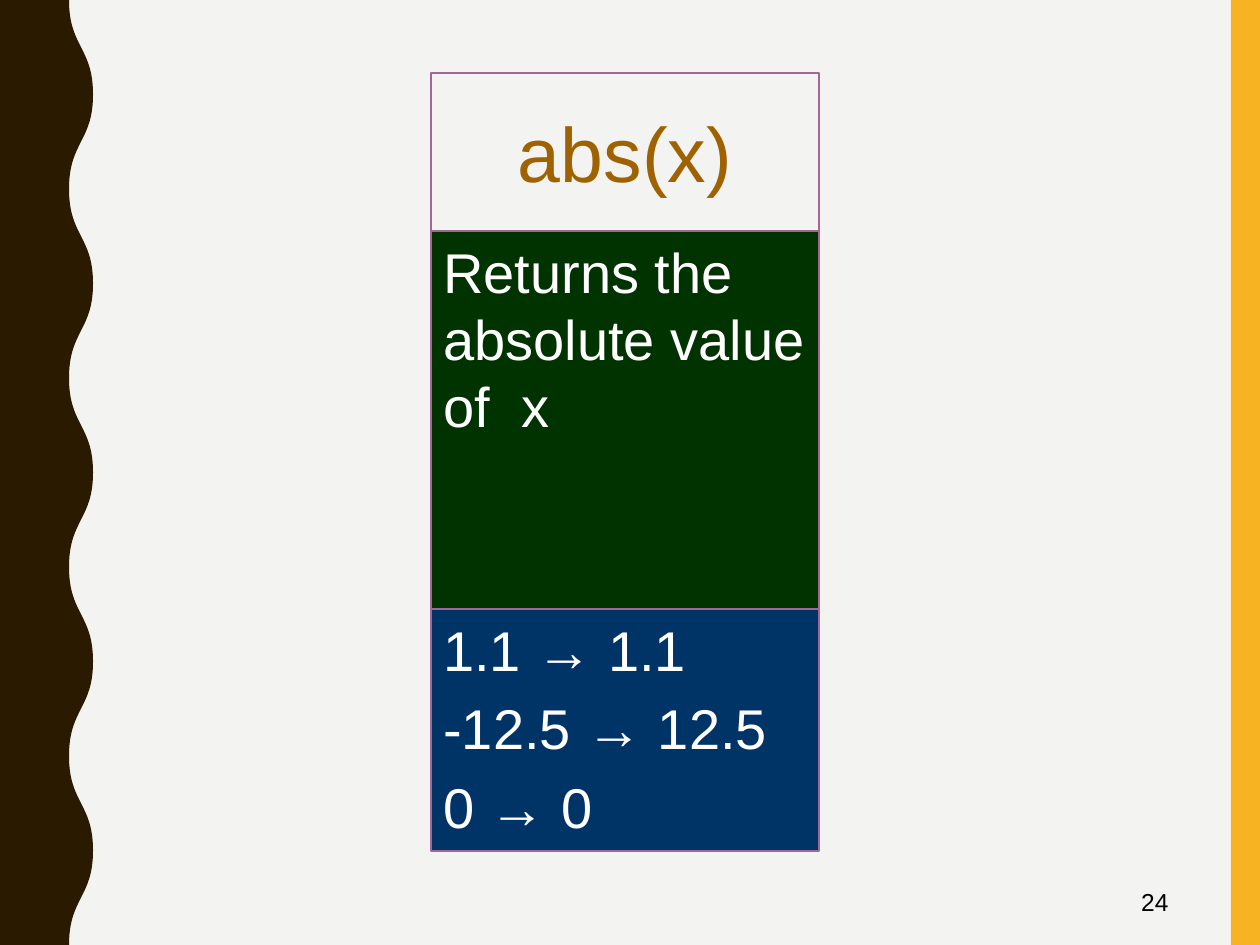
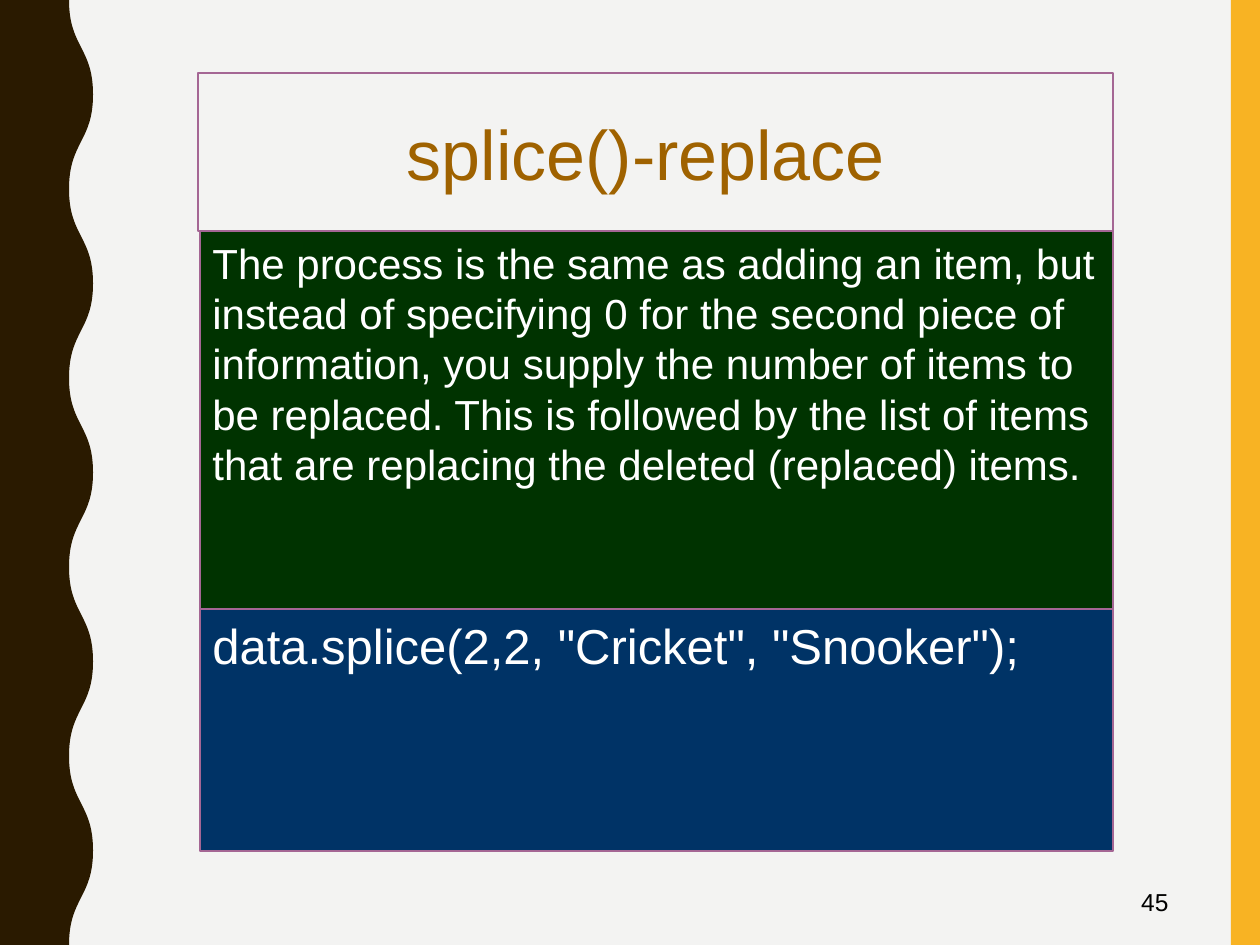
"""Build two slides that each explain one function."""
from lxml import etree
from pptx import Presentation
from pptx.dml.color import RGBColor
from pptx.enum.shapes import MSO_SHAPE
from pptx.enum.text import MSO_ANCHOR, MSO_AUTO_SIZE, PP_ALIGN
from pptx.oxml.ns import qn
from pptx.util import Emu, Pt

RECT = MSO_SHAPE.RECTANGLE
TOP, MIDDLE = MSO_ANCHOR.TOP, MSO_ANCHOR.MIDDLE
LEFT, CENTER, RIGHT = PP_ALIGN.LEFT, PP_ALIGN.CENTER, PP_ALIGN.RIGHT
NO_FIT = MSO_AUTO_SIZE.NONE
TITLE_ONLY = 5
FONT = "Arial"
WIDE, HIGH = 1260, 945
COLORS = {
    "page": "F3F3F2", "stripe": "F8B323", "wave": "2A1A00",
    "edge": "A46694", "title": "9F6200", "text": "FFFFFF",
    "usage": "003300", "sample": "003366", "number": "000000",
}


def px(n):
    """Turn pixels into EMU."""
    return Emu(round(n * 914400 / 126))


def rgb(name):
    """Look up a colour by name."""
    return RGBColor.from_string(COLORS[name])


def paint(shape, fill):
    """Give a shape a flat fill with no line or shadow."""
    shape.shadow.inherit = False
    shape.fill.solid()
    shape.fill.fore_color.rgb = rgb(fill)
    shape.line.fill.background()


def edge(shape, width):
    """Outline a shape in the shared edge colour."""
    shape.line.color.rgb = rgb("edge")
    shape.line.width = Pt(width)


def place(shape, left, top, width, height):
    """Set the position and size of a shape."""
    shape.left, shape.top = px(left), px(top)
    shape.width, shape.height = px(width), px(height)


def write(shape, lines, size, color, align=LEFT, anchor=TOP, gap=0):
    """Write one paragraph per line into a shape."""
    frame = shape.text_frame
    frame.word_wrap = True
    frame.auto_size = NO_FIT
    frame.vertical_anchor = anchor
    for i, line in enumerate(lines):
        para = frame.add_paragraph() if i else frame.paragraphs[0]
        para.alignment = align
        para.space_before = Pt(gap)
        run = para.add_run()
        run.text = line
        run.font.name = FONT
        run.font.size = Pt(size)
        run.font.color.rgb = rgb(color)


def bend(line, start, end):
    """Turn a straight path step into an S curve."""
    mid = (start[1] + end[1]) // 2
    line.tag = qn("a:cubicBezTo")
    for point in list(line):
        line.remove(point)
    for x, y in ((start[0], mid), (end[0], mid), end):
        etree.SubElement(line, qn("a:pt"), x=str(x), y=str(y))


def add_wave(slide):
    """Draw the dark band with a wavy right edge."""
    near, far, waves = 69, 93, 10
    points = [(px(far if i % 2 else near), px(HIGH * i / waves))
              for i in range(waves + 1)]
    path = slide.shapes.build_freeform(*points[0], scale=1.0)
    path.add_line_segments(points[1:] + [(0, px(HIGH)), (0, 0)], close=True)
    wave = path.convert_to_shape()
    lines = list(wave.element.iter(qn("a:lnTo")))
    for line, start, end in zip(lines, points, points[1:]):
        new = etree.Element(qn("a:cubicBezTo"))
        line.getparent().replace(line, new)
        bend(new, start, end)
    paint(wave, "wave")
    return wave


def share_bands(prs, slide):
    """Put the side bands and the page colour on the master."""
    master = prs.slide_master
    back = master.background.fill
    back.solid()
    back.fore_color.rgb = rgb("page")
    stripe = slide.shapes.add_shape(RECT, px(1231), 0, px(29), px(HIGH))
    paint(stripe, "stripe")
    for i, band in enumerate((stripe, add_wave(slide))):
        band.element.nvSpPr.cNvPr.set("id", str(100 + i))
        master.shapes.element.insert(2 + i, band.element)


def add_number(slide, number):
    """Add the slide number."""
    box = slide.shapes.add_textbox(px(890), px(878), px(291), px(48))
    write(box, [number], 14, "number", RIGHT, MIDDLE)


def add_panel(slide, fill, left, top, width, height, lines, size):
    """Add a filled panel of text."""
    panel = slide.shapes.add_shape(
        RECT, px(left), px(top), px(width), px(height))
    paint(panel, fill)
    edge(panel, 1)
    write(panel, lines, size, "text", gap=size * 0.2)


def add_title(slide, text, size, left, width):
    """Place and format the title."""
    title = slide.shapes.title
    place(title, left, 73, width, 158)
    edge(title, 0.75)
    write(title, [text], size, "title", CENTER, MIDDLE)


def add_card(prs, number, title, usage, sample, left, width, inset=0):
    """Add a slide with a title, a usage panel and a sample panel."""
    slide = prs.slides.add_slide(prs.slide_layouts[TITLE_ONLY])
    add_number(slide, number)
    add_panel(slide, "usage", left, 231, width, 378, *usage)
    add_title(slide, *title, left - inset, width + inset)
    add_panel(slide, "sample", left, 609, width, 242, *sample)
    return slide


def main():
    """Build and save the slides."""
    prs = Presentation()
    prs.slide_width, prs.slide_height = px(WIDE), px(HIGH)
    first = add_card(
        prs, "24", ("abs(x)", 44),
        (["Returns the absolute value of  x"], 32),
        (["1.1 → 1.1", "-12.5 → 12.5", "0 → 0"], 32), 431, 388)
    share_bands(prs, first)
    add_card(
        prs, "45", ("splice()-replace ", 40),
        (["The process is the same as adding an item, but instead of "
          "specifying 0 for the second piece of information, you supply "
          "the number of items to be replaced. This is followed by the "
          "list of items that are replacing the deleted (replaced) "
          "items."], 24),
        (['data.splice(2,2, "Cricket", "Snooker");'], 28), 200, 913, 2)
    prs.save("out.pptx")


if __name__ == "__main__":
    main()
